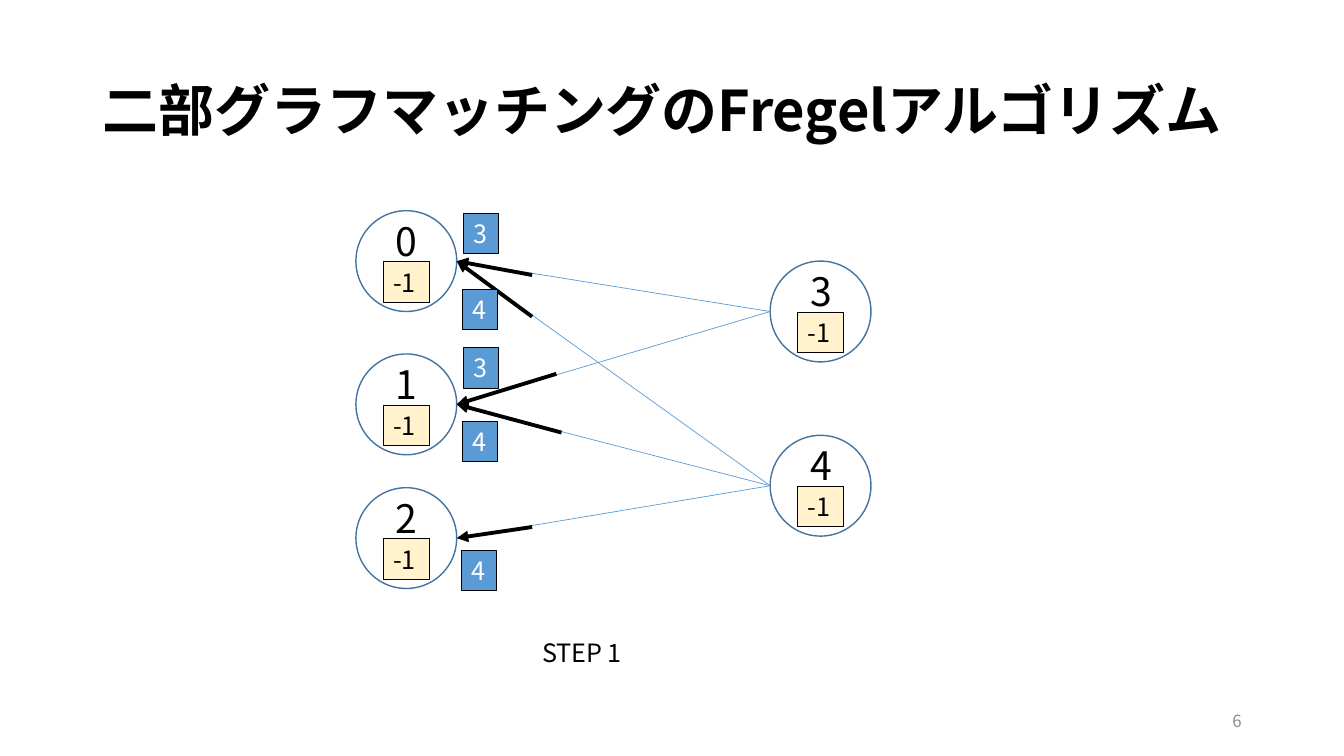
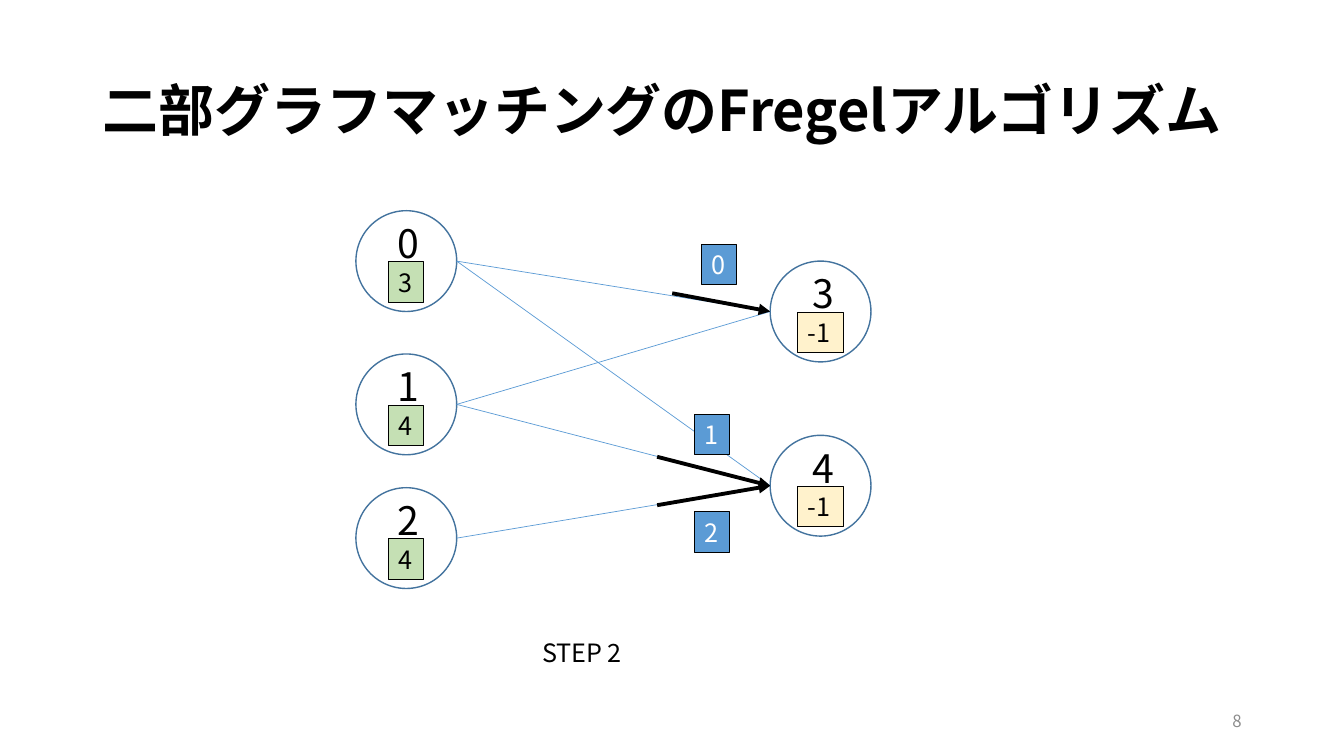
from lxml import etree
from pptx import Presentation
from pptx.dml.color import RGBColor
from pptx.enum import shapes, text
from pptx.oxml import ns
from pptx.util import Cm, Pt

FONT = "Noto Sans CJK JP"
BLACK, WHITE, GREY = "000000", "FFFFFF", "8C8C8C"
BLUE, OUTLINE = "5B9BD5", "43739E"
CREAM, GREEN = "FFF2CC", "C5E0B4"
TITLE = "二部グラフマッチングのFregelアルゴリズム"
RADIUS = 1.27
BOX_H = 1.02
LEFT, RIGHT = 10.24, 20.68
NODES = [(LEFT, 6.58), (LEFT, 10.19), (LEFT, 13.56), (RIGHT, 7.85), (RIGHT, 12.24)]
PORTS = [(x + RADIUS if x == LEFT else x - RADIUS, y) for x, y in NODES]
EDGES = [(0, 3), (1, 3), (1, 4), (0, 4), (2, 4)]

STEPS = [
    {
        "page": "6", "caption": "STEP 1", "digit_at": (-0.51, -1.24),
        "values": ["-1", "-1", "-1", "-1", "-1"],
        "messages": [("3", 11.68, 5.38), ("4", 11.66, 7.29), ("3", 11.68, 8.76),
                     ("4", 11.66, 10.62), ("4", 11.63, 13.87)],
        "arrows": [(13.41, 6.93, 0), (13.41, 7.98, 0), (14.02, 9.42, 1),
                   (14.15, 10.9, 1), (13.41, 13.28, 2)],
    },
    {
        "page": "8", "caption": "STEP 2", "digit_at": (-0.46, -1.18),
        "values": ["3", "4", "4", "-1", "-1"],
        "messages": [("0", 17.68, 6.15), ("1", 17.5, 10.44), ("2", 17.5, 12.9)],
        "arrows": [(16.94, 7.39, 3), (16.56, 11.51, 4), (16.56, 12.73, 4)],
    },
]


def rgb(value):
    return RGBColor.from_string(value)


def write(sp, content, size=18, color=BLACK, bold=False, align="LEFT",
          anchor="TOP", wrap=False, spacing=None):
    tf = sp.text_frame
    tf.word_wrap = wrap
    tf.auto_size = text.MSO_AUTO_SIZE.NONE
    tf.vertical_anchor = text.MSO_ANCHOR[anchor]
    p = tf.paragraphs[0]
    p.alignment = text.PP_ALIGN[align]
    p.line_spacing = spacing
    r = p.add_run()
    r.text = content
    r.font.size = Pt(size)
    r.font.bold = bold
    r.font.color.rgb = rgb(color)
    r.font.name = FONT
    etree.SubElement(r._r.get_or_add_rPr(), ns.qn("a:ea"), typeface=FONT)


prs = Presentation()
prs.slide_width, prs.slide_height = Cm(33.87), Cm(19.05)

for step in STEPS:
    s = prs.slides.add_slide(prs.slide_layouts[5])
    title = s.shapes.title
    title.left, title.top, title.width, title.height = Cm(2.33), Cm(1.01), Cm(29.21), Cm(3.68)
    write(title, TITLE, size=40, bold=True, anchor="MIDDLE", wrap=True, spacing=0.9)

    page = s.shapes.add_textbox(Cm(23.92), Cm(17.66), Cm(7.62), Cm(1.01))
    write(page, step["page"], size=12, color=GREY, align="RIGHT", anchor="MIDDLE", wrap=True)
    caption = s.shapes.add_textbox(Cm(13.41), Cm(15.93), Cm(2.67), Cm(BOX_H))
    write(caption, step["caption"])

    dx, dy = step["digit_at"]
    boxes = [(m, x, y, 0.88, BLUE, WHITE) for m, x, y in step["messages"]]
    for i, ((x, y), value) in enumerate(zip(NODES, step["values"])):
        node = s.shapes.add_shape(shapes.MSO_SHAPE.OVAL, Cm(x - RADIUS), Cm(y - RADIUS),
                                  Cm(2 * RADIUS), Cm(2 * RADIUS))
        node.shadow.inherit = False
        node.fill.solid()
        node.fill.fore_color.rgb = rgb(WHITE)
        node.line.color.rgb = rgb(OUTLINE)
        node.line.width = Pt(1)
        digit = s.shapes.add_textbox(Cm(x + dx), Cm(y + dy), Cm(1.07), Cm(1.45))
        write(digit, str(i), size=28)
        width, fill = (1.16, CREAM) if value == "-1" else (0.88, GREEN)
        boxes.append((value, x - width / 2, y + 0.02, width, fill, BLACK))

    lines = [(*PORTS[a], *PORTS[b], BLUE, 0.5, False) for a, b in EDGES]
    lines += [(x, y, *PORTS[n], BLACK, 2.75, True) for x, y, n in step["arrows"]]
    for x1, y1, x2, y2, color, width, arrow in lines:
        line = s.shapes.add_connector(shapes.MSO_CONNECTOR.STRAIGHT, Cm(x1), Cm(y1), Cm(x2), Cm(y2))
        line.line.color.rgb = rgb(color)
        line.line.width = Pt(width)
        if arrow:
            etree.SubElement(line.line._get_or_add_ln(), ns.qn("a:tailEnd"), type="triangle")
        etree.SubElement(line._element.spPr, ns.qn("a:effectLst"))

    for content, x, y, width, fill, color in boxes:
        box = s.shapes.add_shape(shapes.MSO_SHAPE.RECTANGLE, Cm(x), Cm(y), Cm(width), Cm(BOX_H))
        box.shadow.inherit = False
        box.fill.solid()
        box.fill.fore_color.rgb = rgb(fill)
        box.line.color.rgb = rgb(BLACK)
        box.line.width = Pt(0.75)
        write(box, content, color=color)

prs.save("out.pptx")
